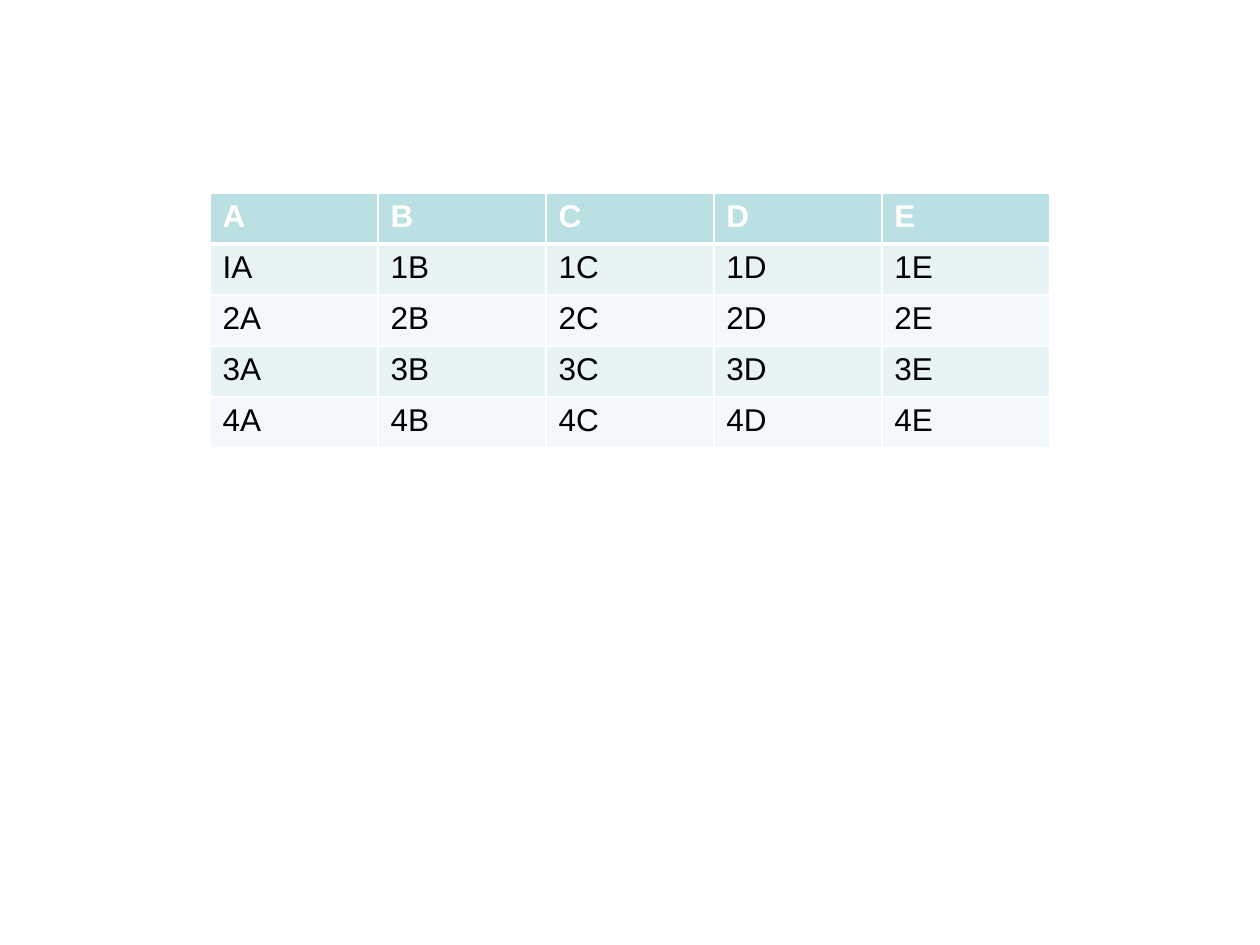
from dataclasses import dataclass

from lxml import etree
from pptx import Presentation
from pptx.dml.color import RGBColor
from pptx.oxml.ns import qn
from pptx.table import _Cell
from pptx.util import Emu, Pt

PIXELS_PER_INCH = 126
FONT_NAME = "Arial"
FONT_SIZE = 18
WHITE = "FFFFFF"
THIN, THICK = 1, 3
TABLE_LEFT, TABLE_TOP = 210, 193
COLUMN_WIDTH, ROW_HEIGHT = 168, 51


@dataclass(frozen=True)
class RowStyle:
    fill: str
    text: str
    bold: bool
    top: int
    bottom: int


HEADER = RowStyle("BBE0E3", WHITE, True, THIN, THICK)
FIRST_ROW = RowStyle("E7F3F4", "000000", False, THICK, THIN)
DARK_ROW = RowStyle("E7F3F4", "000000", False, THIN, THIN)
LIGHT_ROW = RowStyle("F3F9FA", "000000", False, THIN, THIN)

ROWS = [
    (HEADER, ["A", "B", "C", "D", "E"]),
    (FIRST_ROW, ["IA", "1B", "1C", "1D", "1E"]),
    (LIGHT_ROW, ["2A", "2B", "2C", "2D", "2E"]),
    (DARK_ROW, ["3A", "3B", "3C", "3D", "3E"]),
    (LIGHT_ROW, ["4A", "4B", "4C", "4D", "4E"]),
]


def px(length: int) -> Emu:
    return Emu(round(length * 914400 / PIXELS_PER_INCH))


def color(value: str) -> RGBColor:
    return RGBColor.from_string(value)


def add_borders(cell: _Cell, style: RowStyle) -> None:
    properties = cell._tc.get_or_add_tcPr()
    widths = {"lnL": THIN, "lnR": THIN, "lnT": style.top, "lnB": style.bottom}
    for tag, width in widths.items():
        line = etree.SubElement(properties, qn(f"a:{tag}"), w=str(Pt(width)))
        fill = etree.SubElement(line, qn("a:solidFill"))
        etree.SubElement(fill, qn("a:srgbClr"), val=WHITE)


def fill_cell(cell: _Cell, text: str, style: RowStyle) -> None:
    add_borders(cell, style)
    cell.fill.solid()
    cell.fill.fore_color.rgb = color(style.fill)
    cell.text_frame.text = text
    font = cell.text_frame.paragraphs[0].runs[0].font
    font.name = FONT_NAME
    font.size = Pt(FONT_SIZE)
    font.bold = style.bold
    font.color.rgb = color(style.text)


def main() -> None:
    presentation = Presentation()
    presentation.slide_width = px(1260)
    presentation.slide_height = px(945)
    slide = presentation.slides.add_slide(presentation.slide_layouts[6])
    column_count = len(ROWS[0][1])
    table = slide.shapes.add_table(
        len(ROWS), column_count, px(TABLE_LEFT), px(TABLE_TOP),
        px(COLUMN_WIDTH * column_count), px(ROW_HEIGHT * len(ROWS)),
    ).table
    for row_index, (style, texts) in enumerate(ROWS):
        for column_index, text in enumerate(texts):
            fill_cell(table.cell(row_index, column_index), text, style)
    presentation.save("out.pptx")


if __name__ == "__main__":
    main()
